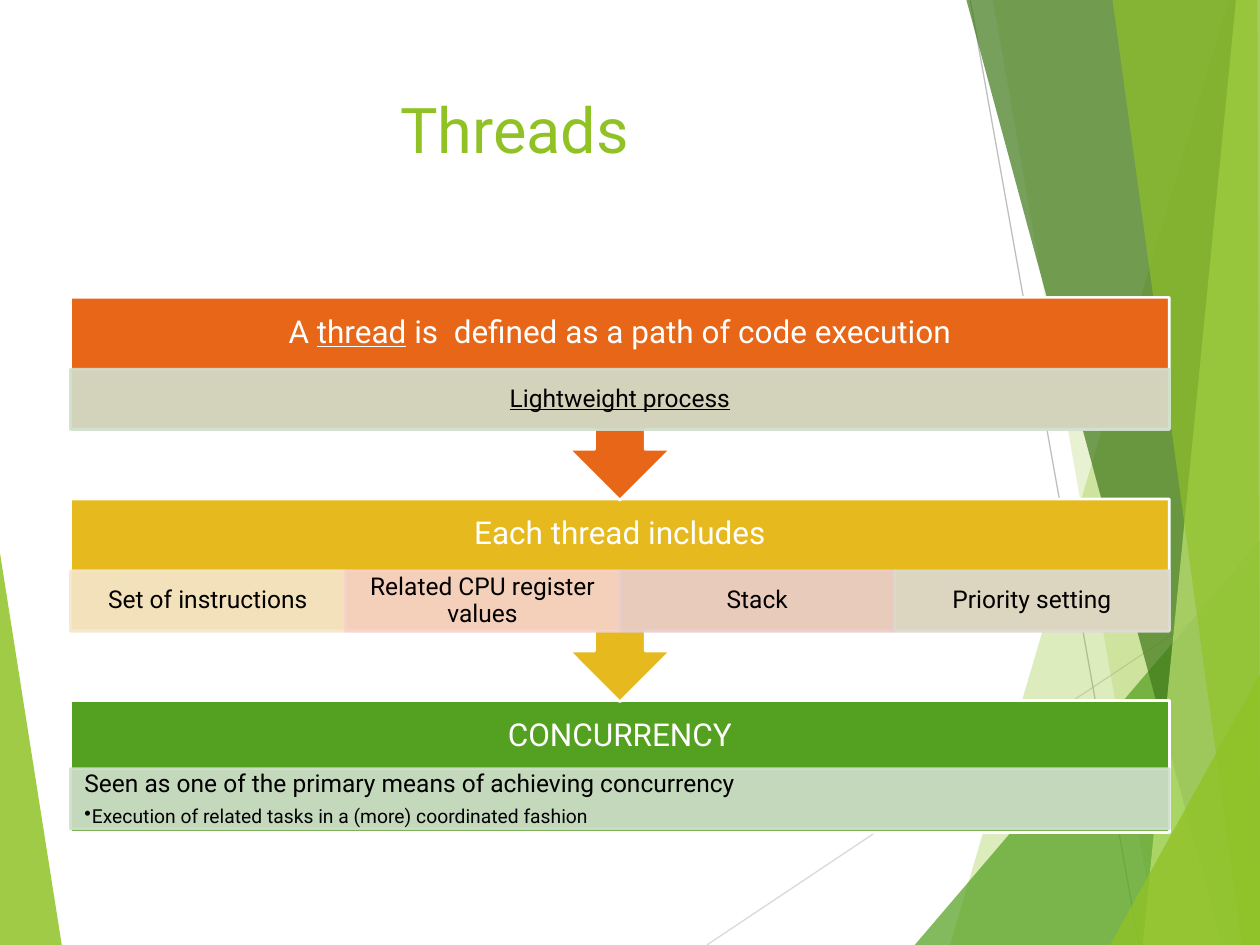
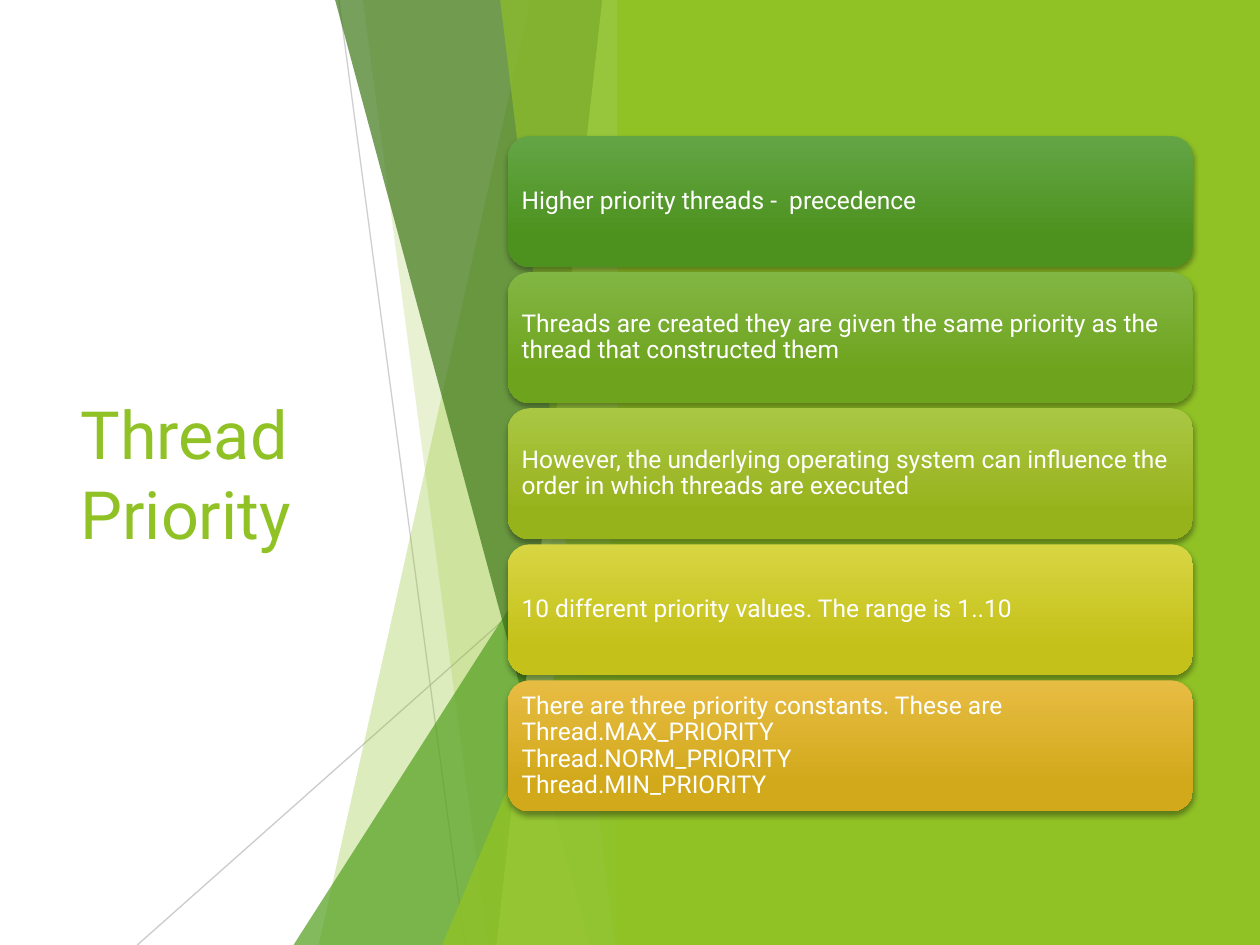
"""Build two slides on threads and thread priority, framed by translucent green facets."""
from lxml import etree
from pptx import Presentation
from pptx.dml.color import RGBColor
from pptx.enum.shapes import MSO_CONNECTOR, MSO_SHAPE
from pptx.enum.text import MSO_ANCHOR, PP_ALIGN
from pptx.oxml.ns import qn
from pptx.util import Inches, Pt

RECT, ROUNDED = MSO_SHAPE.RECTANGLE, MSO_SHAPE.ROUNDED_RECTANGLE
CALLOUT, TRIANGLE = MSO_SHAPE.DOWN_ARROW_CALLOUT, MSO_SHAPE.ISOSCELES_TRIANGLE
STRAIGHT = MSO_CONNECTOR.STRAIGHT
LEFT, CENTER = PP_ALIGN.LEFT, PP_ALIGN.CENTER
TOP, MIDDLE = MSO_ANCHOR.TOP, MSO_ANCHOR.MIDDLE

FONT = "Roboto"
WHITE = RGBColor(0xFF, 0xFF, 0xFF)
BLACK = RGBColor(0x00, 0x00, 0x00)
LIME = RGBColor(0x90, 0xC2, 0x26)
GREEN = RGBColor(0x54, 0xA0, 0x21)
FOREST = RGBColor(0x3F, 0x78, 0x19)
PALE_LIME = RGBColor(0xC0, 0xE4, 0x74)
GREY = RGBColor(0xBF, 0xBF, 0xBF)
LIGHT_GREY = RGBColor(0xD9, 0xD9, 0xD9)
ORANGE = RGBColor(0xE7, 0x66, 0x18)
GOLD = RGBColor(0xE6, 0xB9, 0x1E)
SAGE = RGBColor(0xD1, 0xDF, 0xCD)
CREAM = RGBColor(0xF5, 0xE6, 0xCD)
PEACH = RGBColor(0xF6, 0xD3, 0xCC)
ROSE = RGBColor(0xEA, 0xCD, 0xCD)
STONE = RGBColor(0xDC, 0xD9, 0xD1)


def fade(sp, alpha):
    """Set the opacity, in percent, of the fill and line colours."""
    for color in list(sp.element.spPr.iter(qn("a:srgbClr"))):
        etree.SubElement(color, qn("a:alpha"), val=str(alpha * 1000))


def write(p, text, size, color, underline=False):
    """Add one run to a paragraph."""
    r = p.add_run()
    r.text = text
    r.font.name, r.font.size = FONT, Pt(size)
    r.font.color.rgb = color
    r.font.underline = underline


prs = Presentation()
prs.slide_width, prs.slide_height = Inches(10), Inches(7.5)
threads = prs.slides.add_slide(prs.slide_layouts[6])
priority = prs.slides.add_slide(prs.slide_layouts[6])

THREADS_LINES = [
    ((5.61, 7.5), (10, 4.57), LIGHT_GREY, 100),
    ((7.7, 0), (9.04, 7.5), GREY, 100),
]
THREADS_FACETS = [
    ([(0, 4.39), (0.49, 7.5), (0, 7.5)], LIME, 85),
    ([(9.75, 0), (7.54, 7.5), (10, 7.5), (10, 0)], LIME, 30),
    ([(7.88, 0), (9.19, 7.5), (10, 7.5), (10, 0)], LIME, 20),
    ([(7.26, 7.5), (10, 4.29), (10, 7.5)], GREEN, 72),
    ([(7.67, 0), (9.7, 7.5), (10, 7.5), (10, 0)], FOREST, 70),
    ([(9.81, 0), (9.07, 7.5), (10, 7.5), (10, 0)], PALE_LIME, 70),
    ([(8.83, 0), (9.86, 7.5), (10, 7.5), (9.98, 0)], LIME, 65),
    ([(8.81, 7.5), (10, 5.35), (10, 7.5)], LIME, 80),
]
PRIORITY_LINES = [
    ((2.69, 0), (3.69, 7.5), GREY, 75),
    ((5, 4.03), (1.09, 7.5), GREY, 80),
]
PRIORITY_FACETS = [
    ([(4.21, 0), (5, 0), (5, 7.5), (2.53, 7.5)], LIME, 30),
    ([(2.88, 0), (5, 0), (5, 7.5), (3.87, 7.5)], LIME, 20),
    ([(2.33, 3.33), (5, 7.5)], GREEN, 72),
    ([(2.66, 0), (5, 0), (5, 7.5), (4.68, 7.5)], FOREST, 70),
    ([(4.78, 0), (5, 0), (5, 7.5), (3.94, 7.5)], PALE_LIME, 70),
    ([(3.97, 0), (5, 0), (5, 7.5), (4.88, 7.5)], LIME, 65),
    ([(3.51, 3.93), (5, 7.5)], LIME, 80),
]

for s, lines, facets in (
    (threads, THREADS_LINES, THREADS_FACETS),
    (priority, PRIORITY_LINES, PRIORITY_FACETS),
):
    for start, end, color, alpha in lines:
        line = s.shapes.add_connector(STRAIGHT, *map(Inches, start + end))
        line.line.color.rgb = color
        line.line.width = Pt(0.75)
        fade(line, alpha)
        etree.SubElement(line.element.spPr, qn("a:effectLst"))
    for points, color, alpha in facets:
        corners = [(Inches(x), Inches(y)) for x, y in points]
        if len(corners) == 2:
            (left, top), (right, bottom) = corners
            sp = s.shapes.add_shape(TRIANGLE, left, top, right - left, bottom - top)
            sp.adjustments[0] = 1
        else:
            outline = s.shapes.build_freeform(*corners[0])
            outline.add_line_segments(corners[1:])
            sp = outline.convert_to_shape()
        sp.fill.solid()
        sp.fill.fore_color.rgb = color
        sp.line.fill.background()
        sp.shadow.inherit = False
        fade(sp, alpha)

for s, box, text, size, align, anchor in (
    (threads, (0.56, 0.67, 7.05, 1.44), "Threads", 36, CENTER, TOP),
    (priority, (0.54, 1.51, 2.91, 4.48), "Thread Priority", 38, LEFT, MIDDLE),
):
    tf = s.shapes.add_textbox(*map(Inches, box)).text_frame
    tf.word_wrap = True
    tf.vertical_anchor = anchor
    tf.paragraphs[0].alignment = align
    write(tf.paragraphs[0], text, size, LIME)

BAND_LEFT, BAND_WIDTH, STRIP_HEIGHT = 0.56, 8.72, 0.48
BANDS = [
    (5.56, RECT, 1.05, GREEN, [("CONCURRENCY", False)], 6.1,
     [("Seen as one of the primary means of achieving concurrency", SAGE)]),
    (3.96, CALLOUT, 1.61, GOLD, [("Each thread includes", False)], 4.53,
     [("Set of instructions", CREAM), ("Related CPU register values", PEACH),
      ("Stack", ROSE), ("Priority setting", STONE)]),
    (2.36, CALLOUT, 1.61, ORANGE,
     [("A ", False), ("thread", True), (" is  defined as a path of code execution", False)],
     2.93, [("Lightweight process", SAGE)]),
]
for top, kind, height, color, heading, strip_top, details in BANDS:
    band = threads.shapes.add_shape(
        kind, Inches(BAND_LEFT), Inches(top), Inches(BAND_WIDTH), Inches(height))
    band.fill.solid()
    band.fill.fore_color.rgb = color
    band.line.color.rgb = WHITE
    band.line.width = Pt(1.5)
    band.shadow.inherit = False
    tf = band.text_frame
    tf.margin_left = tf.margin_right = tf.margin_top = Inches(0.14)
    tf.margin_bottom = Inches(STRIP_HEIGHT + 0.14)
    tf.vertical_anchor = MIDDLE
    p = tf.paragraphs[0]
    p.alignment, p.line_spacing = CENTER, 0.9
    for text, underline in heading:
        write(p, text, 18, WHITE, underline)

    width = BAND_WIDTH / len(details)
    for i, (text, color) in enumerate(details):
        strip = threads.shapes.add_shape(
            RECT, Inches(BAND_LEFT + i * width), Inches(strip_top),
            Inches(width), Inches(STRIP_HEIGHT))
        strip.fill.solid()
        strip.fill.fore_color.rgb = color
        strip.line.color.rgb = color
        strip.line.width = Pt(1.5)
        strip.shadow.inherit = False
        fade(strip, 90)
        tf = strip.text_frame
        tf.margin_left = tf.margin_right = Inches(0.11)
        tf.margin_top = tf.margin_bottom = Inches(0.02)
        tf.vertical_anchor = MIDDLE
        p = tf.paragraphs[0]
        p.alignment, p.line_spacing = CENTER, 0.9
        write(p, text, 14, BLACK, text == "Lightweight process")
        if kind == RECT:
            tf.vertical_anchor = TOP
            p.alignment, p.space_after = LEFT, Pt(5)
            p = tf.add_paragraph()
            p.alignment, p.line_spacing, p.level = LEFT, 0.9, 1
            write(p, "Execution of related tasks in a (more) coordinated fashion", 11, BLACK)
            pPr = p._p.get_or_add_pPr()
            pPr.set("marL", str(Inches(0.06)))
            pPr.set("indent", str(Inches(-0.06)))
            etree.SubElement(pPr, qn("a:buChar"), char="•")

panel = priority.shapes.add_shape(RECT, Inches(4.9), 0, Inches(5.1), Inches(7.5))
panel.fill.solid()
panel.fill.fore_color.rgb = LIME
panel.line.fill.background()
panel.shadow.inherit = False

CARDS = [
    (["Higher priority threads -  precedence"], "63A545", "4D921E"),
    (["Threads are created they are given the same priority as the thread that "
      "constructed them"], "82B644", "6EA31D"),
    (["However, the underlying operating system can influence the order in which "
      "threads are executed"], "AAC744", "97B31C"),
    (["10 different priority values. The range is 1..10"], "D8D543", "C4C11A"),
    (["There are three priority constants. These are Thread.MAX_PRIORITY",
      "Thread.NORM_PRIORITY", "Thread.MIN_PRIORITY"], "E7BC43", "D2A91B"),
]
for i, (rows, light, dark) in enumerate(CARDS):
    card = priority.shapes.add_shape(
        ROUNDED, Inches(4.03), Inches(1.08 + i * 1.08), Inches(5.44), Inches(1.04))
    card.fill.gradient()
    card.fill.gradient_angle = 270
    for stop, position, color in zip(card.fill.gradient_stops, (0, 0.78), (light, dark)):
        stop.position = position
        stop.color.rgb = RGBColor.from_string(color)
    card.line.fill.background()
    card.shadow.inherit = False
    shadow = etree.SubElement(
        card.element.spPr.find(qn("a:effectLst")), qn("a:outerShdw"),
        blurRad=str(Pt(3)), dist=str(Pt(2)), dir="5400000", rotWithShape="0")
    black = etree.SubElement(shadow, qn("a:srgbClr"), val=str(BLACK))
    etree.SubElement(black, qn("a:alpha"), val="35000")
    tf = card.text_frame
    tf.margin_left = tf.margin_right = tf.margin_top = tf.margin_bottom = Inches(0.06)
    tf.vertical_anchor = MIDDLE
    p = tf.paragraphs[0]
    p.alignment, p.line_spacing = LEFT, 0.9
    for n, row in enumerate(rows):
        if n:
            p.add_line_break()
        write(p, row, 14, WHITE)

prs.save("out.pptx")
